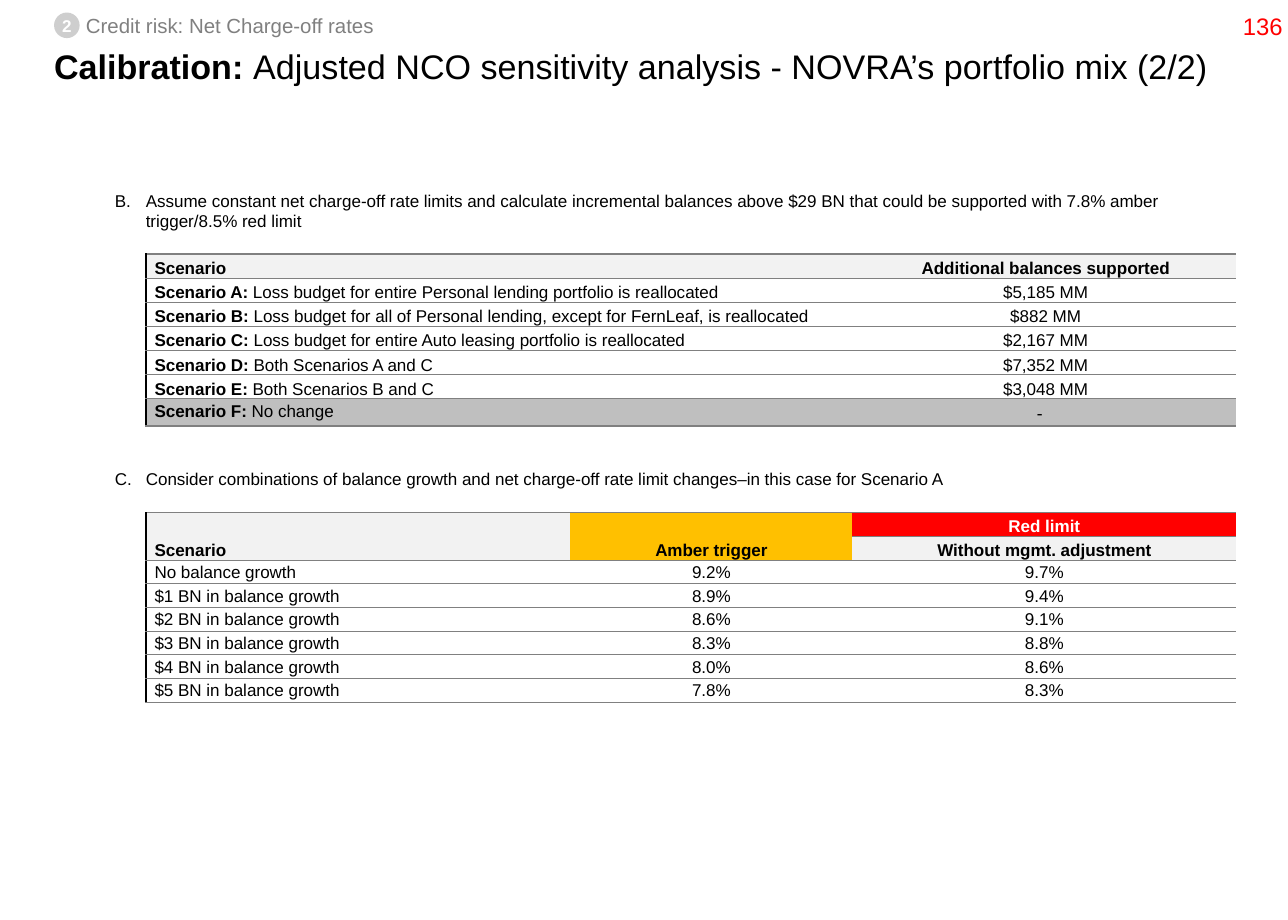
"""Build the net charge-off sensitivity slide with its two scenario tables."""
from lxml import etree
from pptx import Presentation
from pptx import util as u
from pptx.dml.color import RGBColor
from pptx.enum import shapes, text
from pptx.oxml import ns

hex_color = RGBColor.from_string
LEFT, CENTER = text.PP_ALIGN.LEFT, text.PP_ALIGN.CENTER
TOP, MIDDLE, BOTTOM = text.MSO_ANCHOR.TOP, text.MSO_ANCHOR.MIDDLE, text.MSO_ANCHOR.BOTTOM
BLACK, WHITE, GRAY, PALE = "000000", "FFFFFF", "808080", "F2F2F2"


def write(paragraph, content, size=10, color=BLACK, name="Arial", **layout):
    """Write the part before a bar in bold and the rest in regular weight."""
    for attribute, value in layout.items():
        setattr(paragraph, attribute, value)
    bold_part, _, plain_part = content.rpartition("|")
    for part, bold in ((bold_part, True), (plain_part, False)):
        if part:
            run = paragraph.add_run()
            run.text = part
            formats = {"size": u.Pt(size), "name": name, "bold": bold}
            for attribute, value in formats.items():
                setattr(run.font, attribute, value)
            run.font.color.rgb = hex_color(color)


def prepare(frame, **changes):
    """Give a text frame or cell zero margins, then apply the changes."""
    formats = {f"margin_{side}": 0 for side in ("left", "right", "top", "bottom")}
    for attribute, value in (formats | changes).items():
        setattr(frame, attribute, value)


presentation = Presentation()
presentation.slide_width, presentation.slide_height = u.Cm(26.67), u.Cm(19.05)
slide = presentation.slides.add_slide(presentation.slide_layouts[6])

labels = [
    ((1.12, 1.07, 24.46, 2.03), "Calibration: |Adjusted NCO sensitivity analysis - NOVRA’s portfolio mix (2/2)",
     {"word_wrap": True}, {"size": 20, "line_spacing": 0.86}),
    ((1.78, 0.28, 6.02, 0.51), "Credit risk: Net Charge-off rates",
     {"word_wrap": False}, {"size": 12, "color": GRAY}),
    ((25.63, 0, 1.04, 1.07), "136", {"word_wrap": False, "vertical_anchor": MIDDLE},
     {"size": 14, "color": "FF0000", "alignment": CENTER}),
]
for box, content, frame_formats, formats in labels:
    frame = slide.shapes.add_textbox(*map(u.Cm, box)).text_frame
    prepare(frame, **frame_formats)
    write(frame.paragraphs[0], content, **formats)

badge = slide.shapes.add_shape(shapes.MSO_SHAPE.OVAL, *map(u.Cm, (1.12, 0.26, 0.53, 0.53)))
badge.shadow.inherit = False
badge.fill.solid()
badge.fill.fore_color.rgb = hex_color("CECECE")
badge.line.fill.background()
prepare(badge.text_frame, word_wrap=False, vertical_anchor=MIDDLE)
write(badge.text_frame.paragraphs[0], "2|", color=WHITE, alignment=CENTER)

steps = [
    ("Assume constant net charge-off rate limits and calculate incremental balances above $29 BN "
     "that could be supported with 7.8% amber trigger/8.5% red limit", 0),
    ("Consider combinations of balance growth and net charge-off rate limit changes–in this case "
     "for Scenario A", 139),
]
frame = slide.shapes.add_textbox(*map(u.Cm, (1.12, 3.94, 24.51, 12.07))).text_frame
prepare(frame, word_wrap=True)
for index, (content, gap) in enumerate(steps):
    paragraph = frame.add_paragraph() if index else frame.paragraphs[0]
    properties = paragraph._p.get_or_add_pPr()
    properties.set("marL", str(u.Cm(1.9)))
    properties.set("indent", str(u.Cm(-0.64)))
    etree.SubElement(properties, ns.qn("a:buAutoNum"), type="alphaUcPeriod", startAt="2")
    write(paragraph, content, space_before=u.Pt(gap))

balances = [
    ("Scenario|", "Additional balances supported|"),
    ("Scenario A:| Loss budget for entire Personal lending portfolio is reallocated", "$5,185 MM"),
    ("Scenario B:| Loss budget for all of Personal lending, except for FernLeaf, is reallocated", "$882 MM"),
    ("Scenario C:| Loss budget for entire Auto leasing portfolio is reallocated", "$2,167 MM"),
    ("Scenario D:| Both Scenarios A and C", "$7,352 MM"),
    ("Scenario E: |Both Scenarios B and C", "$3,048 MM"),
    ("Scenario F:| No change", "-"),
]
limits = [
    ("Scenario|", "Amber trigger|", "Red limit|"),
    ("", "", "Without mgmt. adjustment|"),
    ("No balance growth", "9.2%", "9.7%"),
    ("$1 BN in balance growth", "8.9%", "9.4%"),
    ("$2 BN in balance growth", "8.6%", "9.1%"),
    ("$3 BN in balance growth", "8.3%", "8.8%"),
    ("$4 BN in balance growth", "8.0%", "8.6%"),
    ("$5 BN in balance growth", "7.8%", "8.3%"),
]
balance_fills = {(0, 0): PALE, (0, 1): PALE, (6, 0): "BFBFBF", (6, 1): "BFBFBF"}
limit_fills = {(0, 0): PALE, (1, 0): PALE, (0, 1): "FFC000", (1, 1): "FFC000",
               (0, 2): "FF0000", (1, 2): PALE}
balance_tops, limit_tops = {(6, 0)}, {(row, column) for row in range(2, 8) for column in range(3)}
dash = {(6, 1): {"size": 11, "name": "Calibri"}}
red_heading = {(0, 2): {"color": WHITE}}

tables = [
    (5.26, balances, (14.68, 7.9), [0.5] * 6 + [0.56], balance_fills, balance_tops, dash, ()),
    (10.62, limits, (8.79, 5.84, 7.95), [0.49] * 8, limit_fills, limit_tops, red_heading, (0, 1)),
]
for top, rows, widths, heights, fills, top_cells, special, merged in tables:
    table = slide.shapes.add_table(len(rows), len(widths), u.Cm(3.02), u.Cm(top),
                                   u.Cm(sum(widths)), u.Cm(sum(heights))).table
    table.first_row = table.horz_banding = False
    for column, width in zip(table.columns, widths):
        column.width = u.Cm(width)
    for row, height in zip(table.rows, heights):
        row.height = u.Cm(height)
    for column_index in merged:
        table.cell(0, column_index).merge(table.cell(1, column_index))
    for row_index, row in enumerate(rows):
        for column_index, content in enumerate(row):
            place = (row_index, column_index)
            cell = table.cell(*place)
            prepare(cell, margin_left=u.Cm(0.18), margin_right=u.Cm(0.42 if content == "-" else 0.18),
                    vertical_anchor=TOP if place in top_cells else BOTTOM)
            left_border = None if column_index else (BLACK, 1)
            borders = {"L": left_border, "R": None, "T": (GRAY, 0.75), "B": (GRAY, 0.75)}
            for side, border in borders.items():
                line = etree.SubElement(cell._tc.get_or_add_tcPr(), ns.qn(f"a:ln{side}"))
                if border:
                    line.set("w", str(u.Pt(border[1])))
                    fill = etree.SubElement(line, ns.qn("a:solidFill"))
                    etree.SubElement(fill, ns.qn("a:srgbClr"), val=border[0])
                else:
                    etree.SubElement(line, ns.qn("a:noFill"))
            cell.fill.solid()
            cell.fill.fore_color.rgb = hex_color(fills.get(place, WHITE))
            write(cell.text_frame.paragraphs[0], content, line_spacing=1.15,
                  alignment=CENTER if column_index else LEFT, **special.get(place, {}))

presentation.save("out.pptx")
